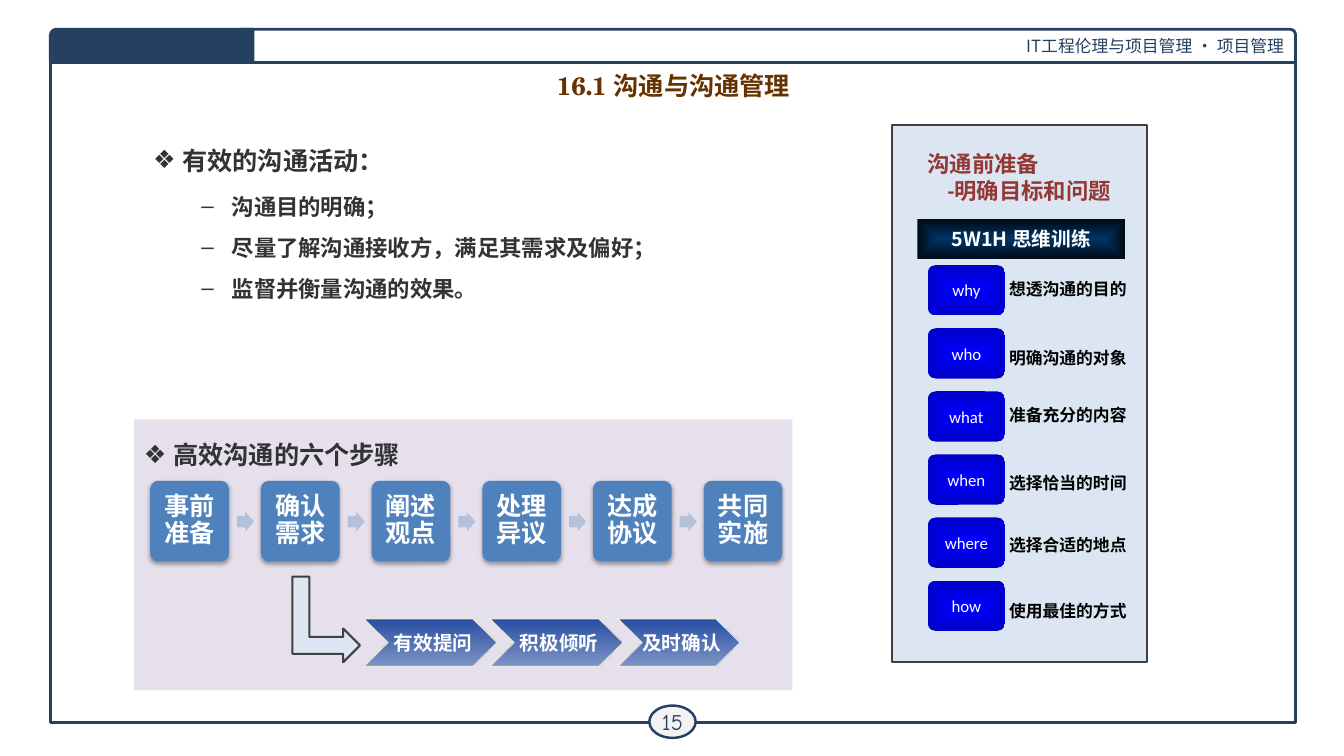
from lxml.etree import SubElement
from pptx import Presentation
from pptx.dml.color import RGBColor
from pptx.enum.shapes import MSO_SHAPE as SHAPE
from pptx.enum.text import MSO_ANCHOR, MSO_AUTO_SIZE, PP_ALIGN
from pptx.oxml import parse_xml
from pptx.oxml.ns import nsdecls, qn
from pptx.util import Inches, Pt

# Content
TITLE = "16.1 沟通与沟通管理"
HEADER = "IT工程伦理与项目管理 · 项目管理"
PAGE = "15"
ACTIVITIES = ["有效的沟通活动：", "沟通目的明确；", "尽量了解沟通接收方，满足其需求及偏好；",
              "监督并衡量沟通的效果。"]
STEPS_HEADING = "高效沟通的六个步骤"
STEPS = ["事前准备", "确认需求", "阐述观点", "处理异议", "达成协议", "共同实施"]
SKILLS = [("有效提问", 3.61, 1.32), ("积极倾听", 4.86, 1.32), ("及时确认", 6.13, 1.21)]
PREPARATION = ["沟通前准备", "-明确目标和问题"]
TRAINING = "5W1H 思维训练"
QUESTIONS = [("why", "想透沟通的目的", 2.72), ("who", "明确沟通的对象", 3.4),
             ("what", "准备充分的内容", 3.97), ("when", "选择恰当的时间", 4.64),
             ("where", "选择合适的地点", 5.26), ("how", "使用最佳的方式", 5.91)]

# Look
COLORS = {"navy": "254061", "white": "FFFFFF", "page": "F3F3F3", "lilac": "E6E0EC",
          "pale": "DCE6F2", "edge": "404040", "body": "333333", "title": "663300",
          "step": "4F81BD", "arrow": "B3C1DB", "cream": "EEECE1", "red": "953735",
          "black": "000000"}
GRADIENTS = {"skill": ("274EA1", "7D94C6", '<a:lin ang="5400000" scaled="0"/>')}
CENTRE_OUT = ('<a:path path="shape"><a:fillToRect l="50000" t="50000" '
              'r="50000" b="50000"/></a:path>')
GRADIENTS["training"] = ("003366", "000A14", CENTRE_OUT)
GRADIENTS["question"] = ("0000FF", "0000C8", CENTRE_OUT)

SANS, SERIF = "Noto Sans CJK SC", "TeX Gyre Schola"
FONTS = {  # face, size, colour, bold
    "title": (SERIF, 18, "title", True),
    "header": (SANS, 12, "navy", False),
    "page": ("Comic Neue", 16, "navy", False),
    "heading": (SERIF, 18, "body", True),
    "point": (SERIF, 16, "body", True),
    "step": ("Calibri", 18, "white", True),
    "skill": ("Arial", 14, "white", True),
    "training": (SANS, 14, "white", True),
    "question": ("Calibri", 12, "white", False),
    "answer": (SANS, 12, "black", True),
    "preparation": ("Calibri", 16, "red", True),
}
HEADING = {"line_spacing": 1.5, "space_after": Pt(2.4), "alignment": PP_ALIGN.LEFT}
POINT = {"line_spacing": 1.5, "space_before": Pt(0.4), "space_after": Pt(0.1), "level": 1}
CENTRED = {"alignment": PP_ALIGN.CENTER}
MIDDLE = {"vertical_anchor": MSO_ANCHOR.MIDDLE}
LABEL = MIDDLE | {"word_wrap": False}


def set_all(target, values):
    for name, value in values.items():
        setattr(target, name, value)


def rgb(color):
    return RGBColor.from_string(COLORS[color])


def write(paragraph, text, style, layout=None, margin=0, hang=0, bullet=None):
    """Fill a paragraph; margin and hang are in inches."""
    properties = paragraph._p.get_or_add_pPr()
    properties.set("marL", str(Inches(margin)))
    properties.set("indent", str(-Inches(hang)))
    set_all(paragraph, layout or {})
    if bullet:
        SubElement(properties, qn("a:buFont")).set("typeface", "Arial")
        SubElement(properties, qn("a:buChar")).set("char", bullet)
    run = paragraph.add_run()
    run.text = text
    face, size, color, bold = FONTS[style]
    set_all(run.font, {"name": face, "size": Pt(size), "bold": bold})
    run.font.color.rgb = rgb(color)
    SubElement(run._r.get_or_add_rPr(), qn("a:ea")).set("typeface", face)


def draw(kind, box, fill=None, line=None, width=1.5, adjust=None):
    part = slide.shapes.add_shape(kind, *map(Inches, box))
    part.shadow.inherit = False
    if adjust is not None:
        for index, value in enumerate(adjust):
            part.adjustments[index] = value
    if fill in COLORS:
        part.fill.solid()
        part.fill.fore_color.rgb = rgb(fill)
    else:
        part.fill.background()
    if fill in GRADIENTS:
        start, end, direction = GRADIENTS[fill]
        old = part._element.spPr.find(qn("a:noFill"))
        part._element.spPr.replace(old, parse_xml(
            f'<a:gradFill {nsdecls("a")} rotWithShape="1"><a:gsLst>'
            f'<a:gs pos="0"><a:srgbClr val="{start}"/></a:gs>'
            f'<a:gs pos="100000"><a:srgbClr val="{end}"/></a:gs>'
            f'</a:gsLst>{direction}</a:gradFill>'))
    if line:
        part.line.color.rgb = rgb(line)
        part.line.width = Pt(width)
    else:
        part.line.fill.background()
    return part


def label(part, text, style, frame=LABEL, layout=CENTRED):
    set_all(part.text_frame, frame)
    write(part.text_frame.paragraphs[0], text, style, layout)


def text_box(box):
    frame = slide.shapes.add_textbox(*map(Inches, box)).text_frame
    frame.word_wrap = True
    return frame


deck = Presentation()
deck.slide_width, deck.slide_height = Inches(13.33), Inches(7.5)
slide = deck.slides.add_slide(deck.slide_layouts[5])

# Page frame, header and page number
draw(SHAPE.RECTANGLE, (0.5, 0.5, 12.35, 6.67), None, "navy", 2)
header = draw(SHAPE.ROUND_1_RECTANGLE, (2.38, 0.29, 10.47, 0.33), "white", "navy", 2)
label(header, HEADER, "header", MIDDLE, {"alignment": PP_ALIGN.RIGHT})
page = draw(SHAPE.OVAL, (6.44, 7, 0.46, 0.32), "page", "navy", 1.75)
insets = dict.fromkeys(("margin_left", "margin_right", "margin_top", "margin_bottom"),
                       Inches(0.04))
label(page, PAGE, "page", LABEL | insets)
corner = draw(SHAPE.ROUND_1_RECTANGLE, (0.5, 0.29, 2.01, 0.33), "navy", "navy", 2, [0.175])
corner._element.spPr.xfrm.set("flipH", "1")

# Title
title = slide.shapes.title
set_all(title, dict(zip(("left", "top", "width", "height"), map(Inches, (2.18, 0.65, 9, 0.39)))))
label(title, TITLE, "title", MIDDLE | {"auto_size": MSO_AUTO_SIZE.NONE, "word_wrap": True})

# Effective communication
activities = text_box((1.42, 1.24, 5.1, 2.73))
write(activities.paragraphs[0], ACTIVITIES[0], "heading", HEADING, 0.29, 0.29, "❖")
for point in ACTIVITIES[1:]:
    write(activities.add_paragraph(), point, "point", POINT, 0.78, 0.3, "–")

# Six steps
panel = draw(SHAPE.RECTANGLE, (1.33, 4.16, 6.53, 2.69), "lilac")
panel.text_frame.vertical_anchor = MSO_ANCHOR.TOP
write(panel.text_frame.paragraphs[0], STEPS_HEADING, "heading", HEADING, 0.29, 0.29, "❖")
STEP_LEFT, STEP_PITCH = 1.49, 1.098
step_insets = dict.fromkeys(insets, Inches(0.09))
for index, name in enumerate(STEPS):
    left = STEP_LEFT + index * STEP_PITCH
    step = draw(SHAPE.ROUNDED_RECTANGLE, (left, 4.77, 0.78, 0.8), "step", adjust=[0.1])
    step._element.spPr.find(qn("a:effectLst")).append(parse_xml(
        f'<a:outerShdw {nsdecls("a")} blurRad="{Pt(3.1)}" dist="{Pt(1.8)}" dir="5400000" '
        'rotWithShape="0"><a:srgbClr val="000000"><a:alpha val="35000"/></a:srgbClr>'
        '</a:outerShdw>'))
    label(step, name, "step", MIDDLE | step_insets | {"word_wrap": True},
          CENTRED | {"line_spacing": 0.9})
    if index < len(STEPS) - 1:
        draw(SHAPE.RIGHT_ARROW, (left + 0.86, 5.08, 0.17, 0.19), "arrow", adjust=[0.6, 0.5])

# Skills for confirming needs
for name, left, width in SKILLS:
    skill = draw(SHAPE.CHEVRON, (left, 6.14, width, 0.47), "skill", "cream", 0.75, [0.507])
    label(skill, name, "skill", LABEL | {"margin_left": Inches(0.15)})
turn = draw(SHAPE.BENT_UP_ARROW, (2.81, 5.81, 0.85, 0.67), "pale", "edge")
turn.rotation = 90

# Preparation and 5W1H
draw(SHAPE.RECTANGLE, (8.85, 1.24, 2.53, 5.33), "pale", "edge")
preparation = text_box((9.1, 1.44, 2.51, 0.64))
write(preparation.paragraphs[0], PREPARATION[0], "preparation")
write(preparation.add_paragraph(), PREPARATION[1], "preparation", margin=0.2)
training = draw(SHAPE.RECTANGLE, (9.1, 2.17, 2.06, 0.4), "training")
label(training, TRAINING, "training")
for index, (word, answer, top) in enumerate(QUESTIONS):
    question = draw(SHAPE.ROUNDED_RECTANGLE, (9.2, 2.63 + index * 0.626, 0.77, 0.5), "question")
    label(question, word, "question")
    write(text_box((9.91, top, 1.45, 0.3)).paragraphs[0], answer, "answer")

deck.save("out.pptx")
